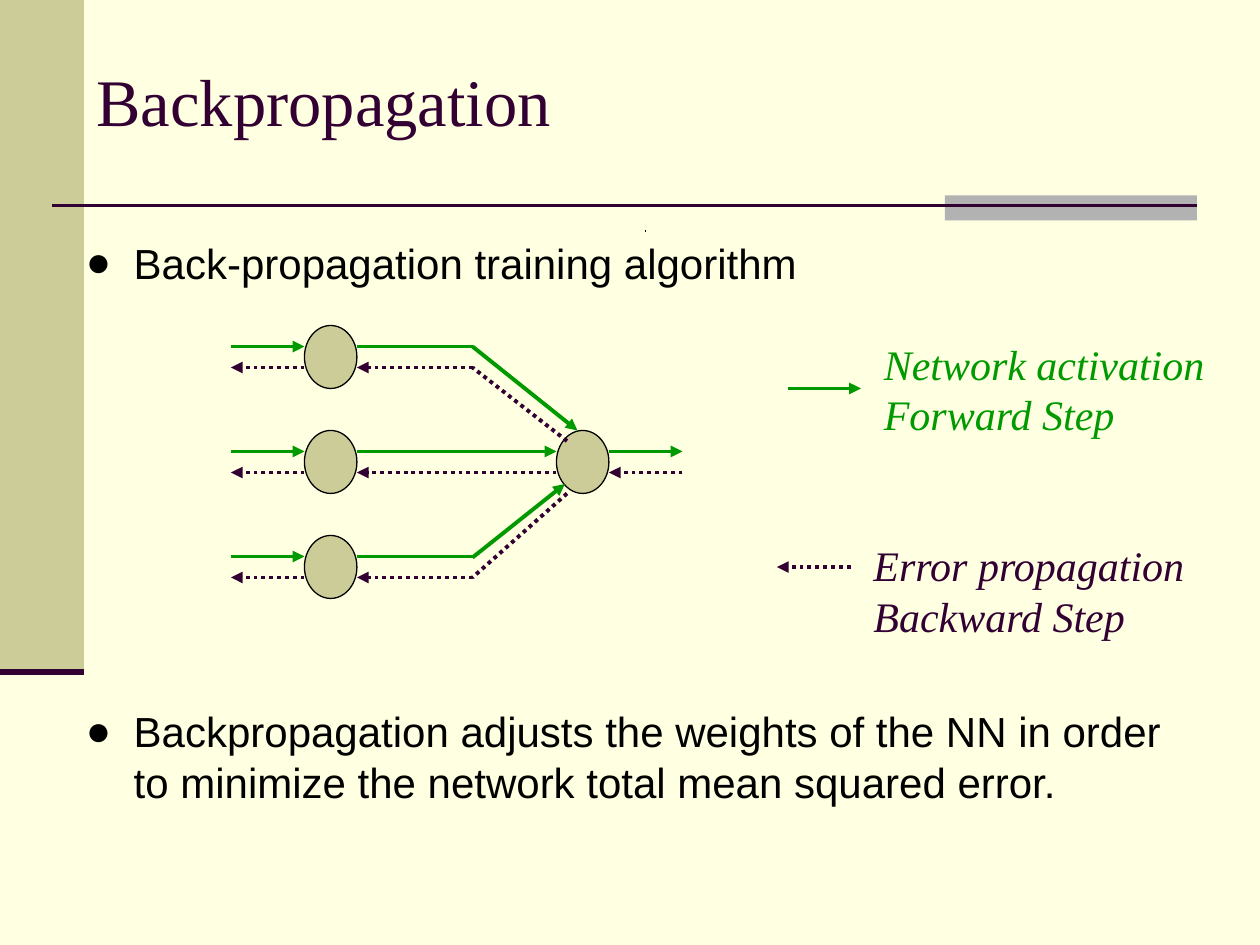
from dataclasses import dataclass

from lxml.etree import SubElement
from pptx import Presentation
from pptx.dml.color import RGBColor as RGB
from pptx.enum.dml import MSO_LINE as Dash
from pptx.enum.shapes import MSO_CONNECTOR as Link, MSO_SHAPE as Shape
from pptx.enum.text import MSO_ANCHOR as Anchor, PP_ALIGN as Align
from pptx.oxml.ns import qn
from pptx.util import Inches, Pt


@dataclass(frozen=True)
class Theme:
    paper: str = "FFFFE1"
    sand: str = "CCCC99"
    gray: str = "B2B2B2"
    plum: str = "330033"
    green: str = "009900"
    black: str = "000000"
    serif: str = "Times New Roman"
    sans: str = "Arial"
    head: float = 38
    text: float = 24
    thin: float = 0.75
    rule: float = 1.5
    flow: float = 2.25
    edge: float = 3.5


class Deck:
    """Draws on a grid of 120 columns by 90 rows, twelve to the inch."""

    def __init__(self, theme):
        self.theme = theme
        self.show = Presentation()
        self.show.slide_width, self.show.slide_height = self.grid(120, 90)
        self.slide = self.show.slides.add_slide(self.show.slide_layouts[5])
        fill = self.slide.background.fill
        fill.solid()
        fill.fore_color.rgb = RGB.from_string(theme.paper)

    def grid(self, *units):
        return [Inches(unit / 12) for unit in units]

    def run(self, para, text, color, font, size, italic=False):
        run = para.add_run()
        run.text = text
        run.font.name, run.font.size = font, Pt(size)
        run.font.italic = italic
        run.font.color.rgb = RGB.from_string(color)

    def title(self, text, *box):
        t = self.theme
        head = self.slide.shapes.title
        head.left, head.top, head.width, head.height = self.grid(*box)
        frame = head.text_frame
        frame.vertical_anchor = Anchor.MIDDLE
        para = frame.paragraphs[0]
        para.alignment = Align.LEFT
        self.run(para, text, t.plum, t.serif, t.head)

    def frame(self, *box):
        frame = self.slide.shapes.add_textbox(*self.grid(*box)).text_frame
        frame.word_wrap = True
        return frame

    def bullets(self, items, *box):
        """Each item is its text and the space before it in points."""
        t = self.theme
        frame = self.frame(*box)
        for i, (text, gap) in enumerate(items):
            para = frame.add_paragraph() if i else frame.paragraphs[0]
            para.space_before = Pt(gap)
            props = para._p.get_or_add_pPr()
            props.set("marL", str(Inches(0.38)))
            props.set("indent", str(-Inches(0.38)))
            SubElement(props, qn("a:buFont"), typeface=t.sans)
            SubElement(props, qn("a:buChar"), char="●")
            self.run(para, text, t.black, t.sans, t.text)

    def label(self, lines, color, *box):
        t = self.theme
        frame = self.frame(*box)
        frame.vertical_anchor = Anchor.BOTTOM
        for i, text in enumerate(lines):
            para = frame.add_paragraph() if i else frame.paragraphs[0]
            self.run(para, text, color, t.serif, t.text, italic=True)

    def shape(self, kind, color, *box, border=None):
        shape = self.slide.shapes.add_shape(kind, *self.grid(*box))
        shape.shadow.inherit = False
        shape.fill.solid()
        shape.fill.fore_color.rgb = RGB.from_string(color)
        if border:
            shape.line.color.rgb = RGB.from_string(border)
            shape.line.width = Pt(self.theme.thin)
        else:
            shape.line.fill.background()

    def node(self, col, row):
        self.shape(Shape.OVAL, self.theme.sand, col, row, 5, 6,
                   border=self.theme.black)

    def line(self, color, width, *ends, dash=None, arrow=False):
        link = self.slide.shapes.add_connector(Link.STRAIGHT, *self.grid(*ends))
        link.line.color.rgb = RGB.from_string(color)
        link.line.width = Pt(width)
        if dash:
            link.line.dash_style = dash
        if arrow:
            SubElement(link.line._get_or_add_ln(), qn("a:tailEnd"), type="triangle")
        SubElement(link._element.spPr, qn("a:effectLst"))

    def ahead(self, *ends, arrow=True):
        self.line(self.theme.green, self.theme.flow, *ends, arrow=arrow)

    def back(self, *ends, arrow=True):
        self.line(self.theme.plum, self.theme.flow, *ends,
                  dash=Dash.ROUND_DOT, arrow=arrow)

    def save(self):
        self.show.save("out.pptx")


def frame(deck):
    t = deck.theme
    deck.shape(Shape.RECTANGLE, t.sand, 0, 0, 8, 64)
    deck.shape(Shape.RECTANGLE, t.gray, 90, 18.6, 24, 2.4)
    deck.line(t.plum, t.rule, 5, 19.6, 114, 19.6)
    deck.line(t.plum, t.edge, 0, 64, 8, 64)
    deck.line(t.black, t.thin, 61.4, 22, 61.5, 22)


def network(deck):
    left, right, bend, mid = 29, 53, 45, 41
    for row in (31, 41, 51):
        deck.node(left, row)
        deck.ahead(22, row + 2, left, row + 2)
        deck.back(left, row + 4, 22, row + 4)
        turn = right if row == mid else bend
        deck.ahead(left + 5, row + 2, turn, row + 2, arrow=row == mid)
        deck.back(turn, row + 4, left + 5, row + 4)
    deck.node(right, mid)
    deck.ahead(bend, 33, 55, 41)
    deck.ahead(bend, 53.1, 53.8, 46.1)
    deck.back(54, 42, bend, 35, arrow=False)
    deck.back(54, 47, bend, 55, arrow=False)
    deck.ahead(right + 5, mid + 2, 65, mid + 2)
    deck.back(65, mid + 4, right + 5, mid + 4)


def legend(deck):
    t = deck.theme
    deck.ahead(75, 37, 82, 37)
    deck.label(["Network activation", "Forward Step"], t.green, 83, 31.6, 37, 10.8)
    deck.back(81, 54, 74, 54)
    deck.label(["Error propagation", "Backward Step"], t.plum, 82, 46, 34, 15.6)


def main():
    deck = Deck(Theme())
    frame(deck)
    deck.title("Backpropagation", 8, 2, 106, 15)
    deck.bullets([
        ("Back-propagation training algorithm", 6),
        ("Backpropagation adjusts the weights of the NN in order "
         "to minimize the network total mean squared error.", 239),
    ], 7, 22, 109, 56)
    network(deck)
    legend(deck)
    deck.save()


if __name__ == "__main__":
    main()
